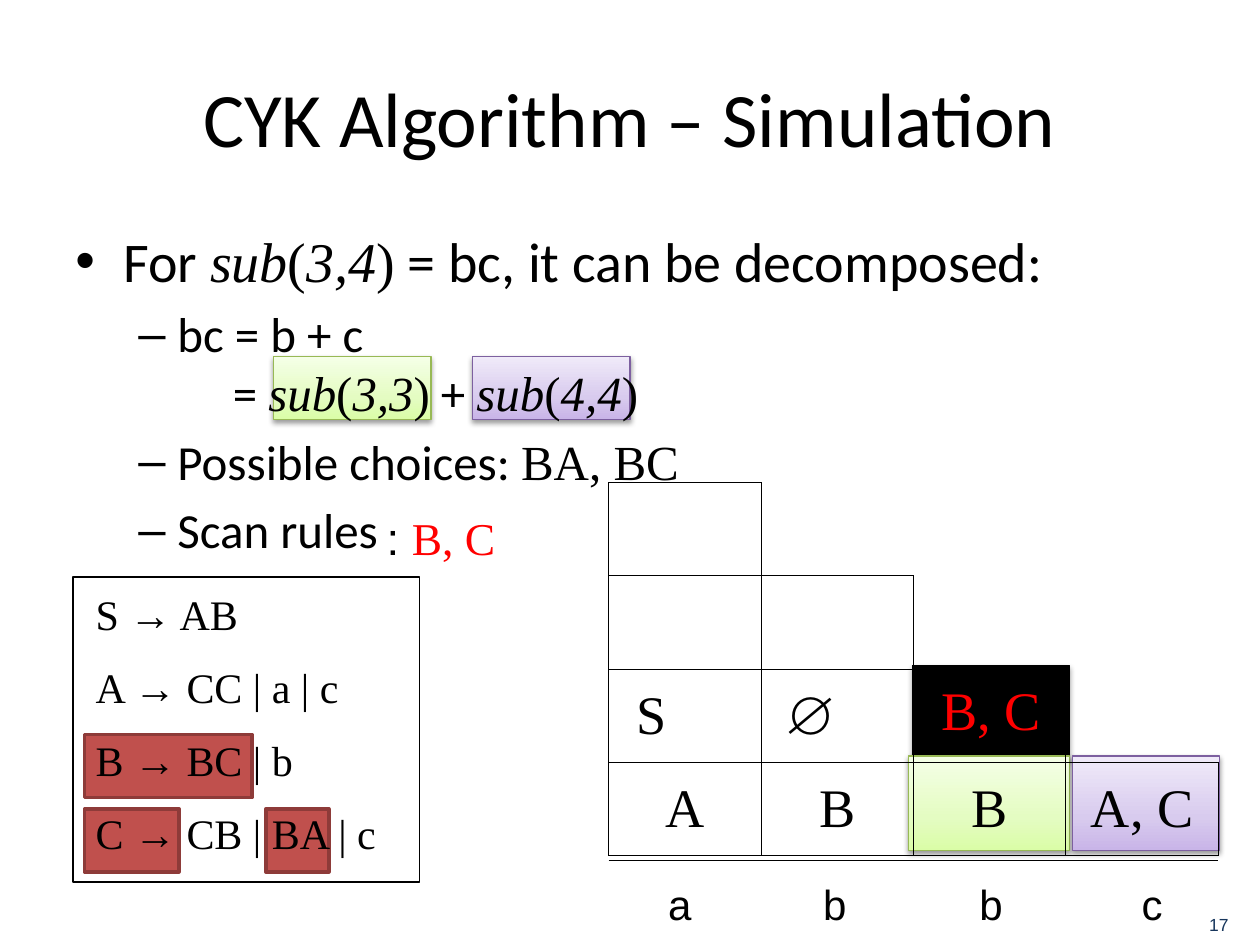
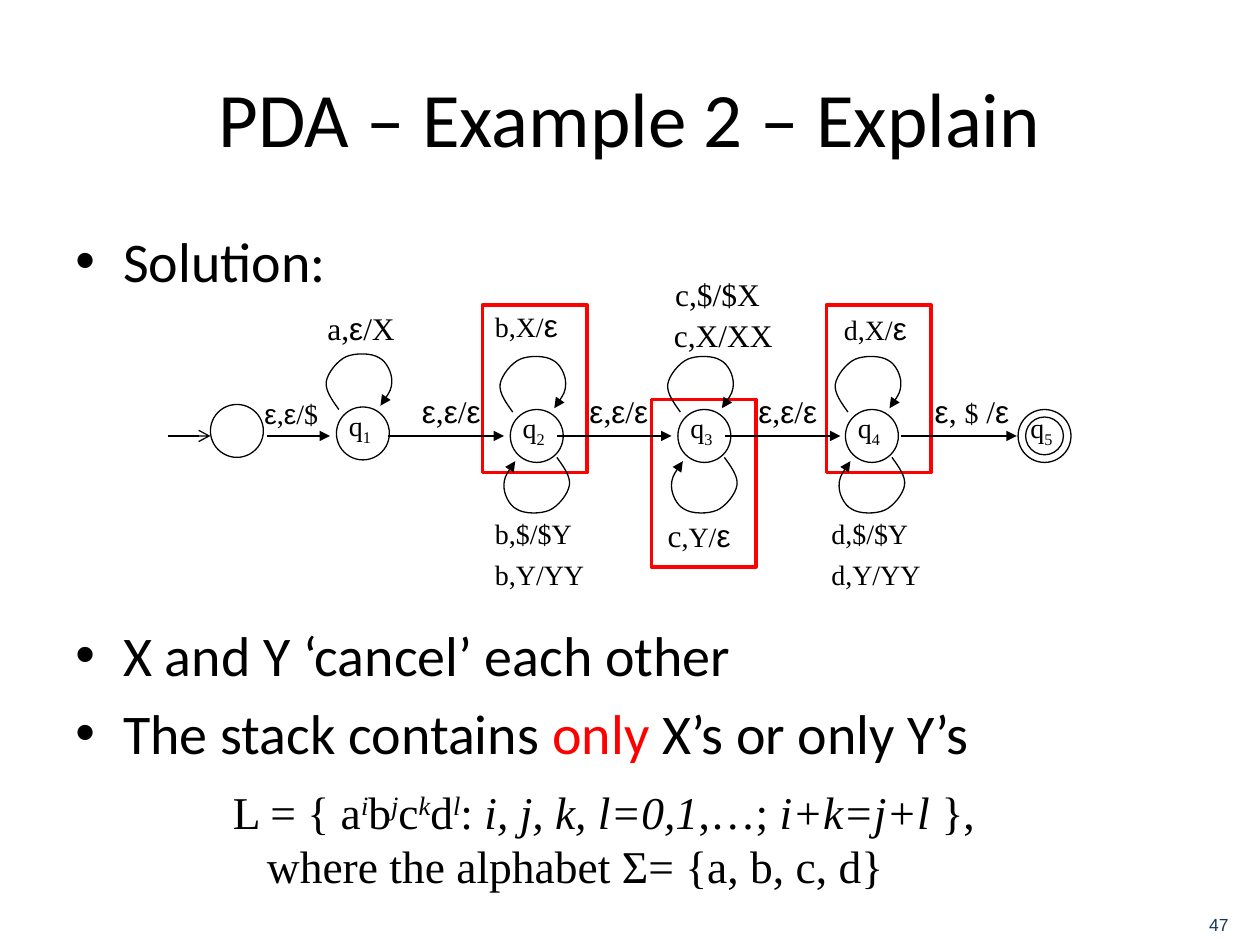
from copy import deepcopy
from dataclasses import dataclass
from functools import partial
from itertools import groupby

from lxml import etree
from pptx import Presentation
from pptx import util as u
from pptx.dml.color import RGBColor
from pptx.enum import shapes, text
from pptx.oxml.ns import qn

Inches, Pt = u.Inches, u.Pt

BLACK = RGBColor(0x00, 0x00, 0x00)
RED = RGBColor(0xFF, 0x00, 0x00)
NAVY = RGBColor(0x17, 0x36, 0x5C)
BRICK = RGBColor(0xC0, 0x50, 0x4D)
BRICK_EDGE = RGBColor(0x8E, 0x3B, 0x39)
GREEN_EDGE = RGBColor(0x98, 0xB9, 0x55)
PURPLE_EDGE = RGBColor(0x7D, 0x60, 0xA0)
GREENS = [RGBColor(0xDA, 0xFD, 0xA7), RGBColor(0xE4, 0xFC, 0xC2), RGBColor(0xF5, 0xFF, 0xE7)]
PURPLES = [RGBColor(0xC9, 0xB5, 0xE8), RGBColor(0xD8, 0xCB, 0xEE), RGBColor(0xF0, 0xEA, 0xF9)]

SANS, BODY, SERIF = "Arial", "Calibri", "Times New Roman"
LEFT, CENTER, RIGHT = text.PP_ALIGN.LEFT, text.PP_ALIGN.CENTER, text.PP_ALIGN.RIGHT
RECT, OVAL = shapes.MSO_SHAPE.RECTANGLE, shapes.MSO_SHAPE.OVAL

BULLETS = [("•", 0.38, -0.38), ("–", 0.81, -0.31)]
LOOP = [(-.19, -.19), (-.24, -.26), (-.3, -.34), (-.29, -.41),
        (-.28, -.48), (-.2, -.58), (-.13, -.61),
        (-.06, -.64), (.07, -.64), (.13, -.6),
        (.19, -.57), (.23, -.48), (.23, -.42),
        (.23, -.35), (.19, -.29), (.14, -.22)]


@dataclass
class Span:
    text: str
    size: float
    font: str = BODY
    italic: bool = False
    color: RGBColor = BLACK
    baseline: int = 0


serif = partial(Span, font=SERIF)
sans = partial(Span, font=SANS)


def add_spans(para, spans):
    for item in spans:
        span = para.add_run()
        span.text = item.text
        span.font.name = item.font
        span.font.size = Pt(item.size)
        span.font.italic = item.italic
        span.font.color.rgb = item.color
        if item.baseline:
            span._r.get_or_add_rPr().set("baseline", str(item.baseline * 1000))


def next_para(frame):
    first = frame.paragraphs[0]
    return frame.add_paragraph() if first.runs else first


def add_box(page, at, lines=(), align=LEFT, before=0, wrap=True):
    box = page.shapes.add_textbox(*map(Inches, at))
    frame = box.text_frame
    frame.word_wrap = wrap
    if not wrap:
        frame.auto_size = text.MSO_AUTO_SIZE.SHAPE_TO_FIT_TEXT
    for spans in lines:
        para = next_para(frame)
        para.alignment = align
        para.space_before = Pt(before)
        add_spans(para, spans)
    return frame


def indent(para, margin, first=0):
    props = para._p.get_or_add_pPr()
    props.set("marL", str(Inches(margin)))
    props.set("indent", str(Inches(first)))
    return props


def add_bullet(frame, spans, level=0, gap=0):
    mark, margin, first = BULLETS[level]
    para = next_para(frame)
    para.level = level
    para.space_before = Pt(spans[0].size * 0.2 + gap)
    props = indent(para, margin, first)
    etree.SubElement(props, qn("a:buFont")).set("typeface", SANS)
    etree.SubElement(props, qn("a:buChar")).set("char", mark)
    add_spans(para, spans)


def add_page(deck, heading, number):
    page = deck.slides.add_slide(deck.slide_layouts[5])
    title = page.shapes.title
    title.left, title.top, title.width, title.height = map(Inches, (0.5, 0.3, 9, 1.25))
    title.text_frame.vertical_anchor = text.MSO_ANCHOR.MIDDLE
    para = title.text_frame.paragraphs[0]
    para.alignment = CENTER
    add_spans(para, [Span(heading, 44)])

    footer = add_box(page, (8.92, 7.02, 0.83, 0.4), [[sans(number, 10, color=NAVY)]], RIGHT)
    footer.vertical_anchor = text.MSO_ANCHOR.BOTTOM
    footer.margin_left = footer.margin_right = footer.margin_top = footer.margin_bottom = 0
    return page


def add_body(page):
    return add_box(page, (0.5, 1.75, 9, 4.95))


def add_outline(page, kind, at, edge=BLACK, weight=0.75, fill=None):
    shape = page.shapes.add_shape(kind, *map(Inches, at))
    shape.shadow.inherit = False
    shape.line.color.rgb = edge
    shape.line.width = Pt(weight)
    if fill is None:
        shape.fill.background()
    else:
        shape.fill.solid()
        shape.fill.fore_color.rgb = fill
    return shape


def drop_shadow(shape, opacity):
    effects = shape.element.spPr.find(qn("a:effectLst"))
    shadow = etree.SubElement(effects, qn("a:outerShdw"), blurRad=str(Pt(3.1)),
                              dist=str(Pt(1.7)), dir="5400000", rotWithShape="0")
    color = etree.SubElement(shadow, qn("a:srgbClr"), val="000000")
    etree.SubElement(color, qn("a:alpha"), val=str(opacity * 1000))


def add_glow_box(page, at, colors, edge):
    shape = add_outline(page, RECT, at, edge)
    shape.fill.gradient()
    shape.fill.gradient_angle = 90
    stop_list = shape.element.spPr.find(".//" + qn("a:gsLst"))
    stop_list.append(deepcopy(stop_list[0]))
    for stop, position, color in zip(shape.fill.gradient_stops, (0, 0.35, 1), colors):
        stop.position = position
        stop.color.rgb = color
    drop_shadow(shape, 38)


def add_tail(shape, kind):
    line = shape.element.spPr.find(qn("a:ln"))
    etree.SubElement(line, qn("a:tailEnd"), type=kind)


def add_line(page, start, end, y, tail=None):
    line = page.shapes.add_connector(shapes.MSO_CONNECTOR.STRAIGHT,
                                     *map(Inches, (start, y, end, y)))
    line.line.color.rgb = BLACK
    line.line.width = Pt(0.75)
    etree.SubElement(line.element.spPr, qn("a:effectLst"))
    if tail:
        add_tail(line, tail)


def add_loop(page, x, y, flip=1):
    points = [(Inches(x + flip * dx), Inches(y + flip * dy)) for dx, dy in LOOP]
    builder = page.shapes.build_freeform(*points[0])
    builder.add_line_segments(points[1:], close=False)
    loop = builder.convert_to_shape()
    outline = loop.element.find(".//" + qn("a:path"))
    segments = outline.findall(qn("a:lnTo"))
    for start in range(0, len(segments), 3):
        curve = etree.SubElement(outline, qn("a:cubicBezTo"))
        for segment in segments[start:start + 3]:
            curve.append(segment[0])
            outline.remove(segment)
    loop.shadow.inherit = False
    loop.fill.background()
    loop.line.color.rgb = BLACK
    loop.line.width = Pt(0.75)
    add_tail(loop, "triangle")


def add_circle(page, x, y, size=0.42):
    add_outline(page, OVAL, (x - size / 2, y - size / 2, size, size))


def add_state(page, x, y, index):
    add_circle(page, x, y)
    add_box(page, (x - 0.21, y - 0.25, 0.38, 0.37),
            [[serif("q", 16), serif(index, 16, baseline=-25)]], wrap=False)


def add_label(page, left, top, width, *parts):
    spans = []
    for chunk, size in parts:
        for is_epsilon, letters in groupby(chunk, lambda letter: letter == "ε"):
            spans.append(Span("".join(letters), size, SANS if is_epsilon else SERIF))
    add_box(page, (left, top, width, 0.4), [spans], wrap=False)


def add_border(cell, side, shown):
    props = cell._tc.get_or_add_tcPr()
    border = etree.Element(qn("a:ln" + side), w=str(Pt(0.5)))
    if shown:
        paint = etree.SubElement(border, qn("a:solidFill"))
        etree.SubElement(paint, qn("a:srgbClr"), val=str(BLACK))
    else:
        etree.SubElement(border, qn("a:noFill"))
    props.append(border)


def add_stairs(page, entries, size=4):
    at = map(Inches, (4.83, 3.83, 4.84, 2.96))
    table = page.shapes.add_table(size, size, *at).table
    table.first_row = table.horz_banding = False
    neighbours = {"L": (0, -1), "R": (0, 1), "T": (-1, 0), "B": (1, 0)}

    def is_step(row, col):
        return 0 <= col <= row < size

    for row in range(size):
        for col in range(size):
            cell = table.cell(row, col)
            for side, (down, across) in neighbours.items():
                add_border(cell, side, is_step(row, col) or is_step(row + down, col + across))
            cell.fill.background()
            if (row, col) in entries:
                value, right = entries[row, col]
                cell.vertical_anchor = text.MSO_ANCHOR.MIDDLE
                cell.margin_left = cell.margin_top = Inches(0.01)
                cell.margin_right, cell.margin_bottom = Inches(right), 0
                para = cell.text_frame.paragraphs[0]
                para.alignment = CENTER
                add_spans(para, [serif(value, 31)])


def sub_call(indices, size):
    return [serif("sub", size, italic=True), serif("(", size),
            serif(indices, size, italic=True), serif(")", size)]


def build_cyk(deck):
    page = add_page(deck, "CYK Algorithm – Simulation", "17")
    for at in ((0.67, 5.83, 1.33, 0.5), (0.67, 6.42, 0.75, 0.5), (2.11, 6.42, 0.5, 0.5)):
        add_outline(page, RECT, at, BRICK_EDGE, 2, BRICK)
    drop_shadow(add_outline(page, RECT, (7.24, 5.28, 1.25, 0.75), fill=BLACK), 35)
    for at in ((2.17, 2.83, 1.25, 0.5), (7.21, 6, 1.28, 0.75)):
        add_glow_box(page, at, GREENS, GREEN_EDGE)
    for at in ((3.75, 2.83, 1.25, 0.5), (8.51, 6, 1.17, 0.75)):
        add_glow_box(page, at, PURPLES, PURPLE_EDGE)

    body = add_body(page)
    add_bullet(body, [Span("For ", 32), *sub_call("3,4", 32),
                      Span(" = bc, it can be decomposed:", 32)])
    add_bullet(body, [Span("bc = b + c", 28)], 1)
    split = body.add_paragraph()
    indent(split, 1.25)
    add_spans(split, [Span("= ", 28), *sub_call("3,3", 28),
                      Span(" + ", 28), *sub_call("4,4", 28)])
    add_bullet(body, [Span("Possible choices: ", 28), serif("BA, BC", 28)], 1)
    add_bullet(body, [Span("Scan rules", 28)], 1)

    add_line(page, 4.83, 9.67, 6.83)
    for left, letter in zip((4.83, 6.06, 7.3, 8.58), "abbc"):
        add_box(page, (left, 6.92, 1.13, 0.5), [[sans(letter, 24)]], CENTER)

    rules = ("S → AB", "A → CC | a | c", "B → BC | b", "C → CB | BA | c")
    add_box(page, (0.66, 4.62, 2.59, 2.32), [[serif(rule, 24)] for rule in rules], before=13)
    add_outline(page, RECT, (0.58, 4.58, 2.75, 2.42))

    add_box(page, (2.97, 4, 1.25, 0.54), [[sans(": ", 26), serif("B, C", 26, color=RED)]])
    add_box(page, (7.24, 5.32, 1.25, 0.62), [[serif("B, C", 31, color=RED)]], CENTER)
    add_stairs(page, {(2, 0): ("S", 0.54), (2, 1): ("∅", 0.44),
                      (3, 0): ("A", 0.01), (3, 1): ("B", 0.01),
                      (3, 2): ("B", 0.01), (3, 3): ("A, C", 0.01)})


def build_pda(deck):
    page = add_page(deck, "PDA – Example 2 – Explain", "47")
    body = add_body(page)
    add_bullet(body, [Span("Solution:", 32)])
    add_bullet(body, [Span("X and Y ‘cancel’ each other", 32)], gap=180)
    add_bullet(body, [Span("The stack contains ", 32), Span("only", 32, color=RED),
                      Span(" X’s or only Y’s", 32)])

    language = [serif("L = { ", 26)]
    for letter, power in zip("abcd", "ijkl"):
        language += [serif(letter, 26), serif(power, 26, italic=True, baseline=30)]
    language += [serif(": ", 26), serif("i, j, k, l=0,1", 26, italic=True),
                 serif(",…; ", 26), serif("i+k=j+l", 26, italic=True), serif(" },", 26)]
    formula = add_box(page, (1.75, 6.17, 7.75, 1.17),
                      [language, [serif("where the alphabet Σ= {a, b, c, d}", 26)]])
    indent(formula.paragraphs[1], 0.27)

    for left, top in ((3.83, 2.42), (6.56, 2.42), (5.17, 3.17)):
        add_outline(page, RECT, (left, top, 0.83, 1.33), RED, 2)

    axis = 3.46
    add_circle(page, 1.88, 3.42)
    add_circle(page, 8.29, axis, 0.3)
    states = {"1": (2.88, 3.44), "2": (4.26, axis), "3": (5.59, axis),
              "4": (6.92, axis), "5": (8.29, axis)}
    for index, (x, y) in states.items():
        add_state(page, x, y, index)
        if index != "5":
            add_loop(page, x, y)
        if index in "234":
            add_loop(page, x - 0.03, y - 0.02, flip=-1)

    add_line(page, 1.33, 1.67, axis, "arrow")
    for start, end in ((2.12, 2.62), (3.08, 4), (4.42, 5.33), (5.75, 6.67), (7.15, 8.07)):
        add_line(page, start, end, axis, "triangle")

    add_label(page, 2, 3.1, 0.65, ("ε,ε/$", 16))
    for left in (3.25, 4.58, 5.92):
        add_label(page, left, 3.06, 0.71, ("ε,ε/ε", 18))
    add_label(page, 7.32, 3.06, 0.82, ("ε, ", 18), ("$", 16), (" /ε", 18))
    add_label(page, 2.5, 2.4, 0.77, ("a,ε/X", 18))
    add_label(page, 5.26, 2.13, 0.88, ("c,$/$X", 18))
    add_label(page, 5.25, 2.46, 1.01, ("c,X/XX", 18))
    add_label(page, 5.2, 4.05, 0.72, ("c", 18), (",Y/", 16), ("ε", 18))
    for letter, left, top in (("b", 3.83, 2.38), ("d", 6.6, 2.4)):
        add_label(page, left, top, 0.74, (letter + ",X/", 16), ("ε", 18))
    for letter, left in (("b", 3.83), ("d", 6.5)):
        add_label(page, left, 4.05, 0.81, (letter + ",$/$Y", 16))
        add_label(page, left, 4.38, 0.91, (letter + ",Y/YY", 16))


def main():
    deck = Presentation()
    deck.slide_width, deck.slide_height = Inches(10), Inches(7.5)
    build_cyk(deck)
    build_pda(deck)
    deck.save("out.pptx")


if __name__ == "__main__":
    main()
